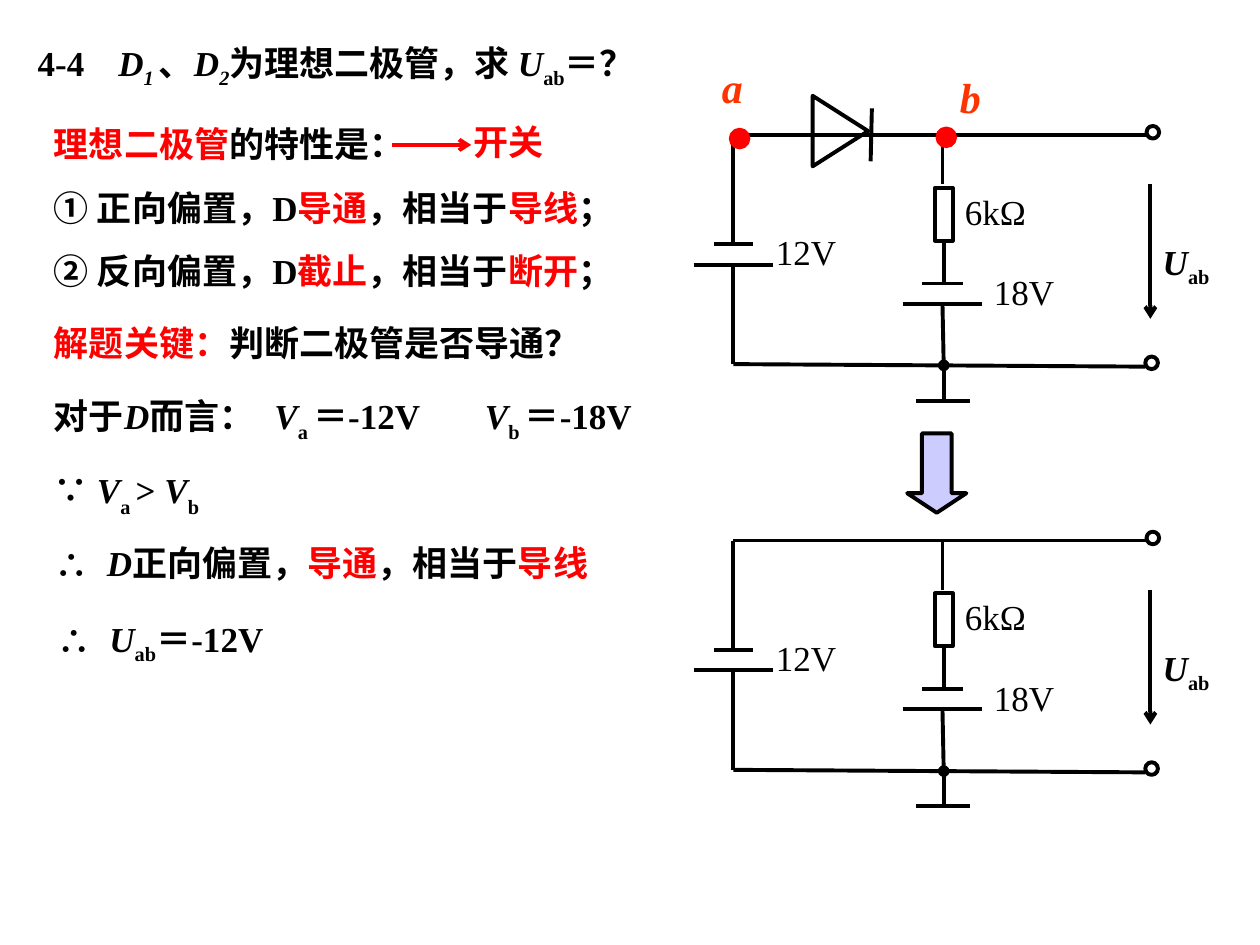
from dataclasses import dataclass

from lxml.etree import SubElement
from pptx import Presentation
from pptx.dml.color import RGBColor
from pptx.enum.shapes import MSO_CONNECTOR, MSO_SHAPE
from pptx.oxml.ns import qn
from pptx.util import Inches, Pt


@dataclass(frozen=True)
class Theme:
    black: RGBColor = RGBColor(0, 0, 0)
    white: RGBColor = RGBColor(255, 255, 255)
    red: RGBColor = RGBColor(255, 0, 0)
    orange: RGBColor = RGBColor(255, 51, 0)
    lilac: RGBColor = RGBColor(204, 204, 255)
    body: Pt = Pt(20)
    node: Pt = Pt(24)
    line: Pt = Pt(2.25)
    gap: Pt = Pt(12.5)
    latin: str = "Times New Roman"
    cjk: str = "Noto Sans CJK SC"


T = Theme()
BASE = {"size": T.body, "bold": True, "italic": False, "name": T.latin}
PLAIN = {"bold": False}
ITALIC = {"italic": True}
RED = {"color": T.red}
SUB = {"baseline": -25}
LOW = {"baseline": -30}
ITALIC_SUB = ITALIC | SUB
CJK = {"name": T.cjk}
NODE = {"italic": True, "size": T.node, "color": T.orange}
VOLTAGE = [("U", ITALIC), ("ab", SUB)]


def add_run(p, text, fmt):
    r = p.add_run()
    r.text = text
    fmt = BASE | fmt
    color = fmt.pop("color", T.black)
    baseline = fmt.pop("baseline", 0)
    r.font.color.rgb = color
    for key, value in fmt.items():
        setattr(r.font, key, value)
    rPr = r._r.get_or_add_rPr()
    SubElement(rPr, qn("a:ea")).set("typeface", T.cjk)
    if baseline:
        rPr.set("baseline", str(baseline * 1000))


def add_text(shapes, x, y, w, h, *paragraphs, tab=None):
    tf = shapes.add_textbox(Inches(x), Inches(y), Inches(w), Inches(h)).text_frame
    tf.word_wrap = True
    for i, runs in enumerate(paragraphs):
        p = tf.add_paragraph() if i else tf.paragraphs[0]
        if tab:
            stops = SubElement(p._p.get_or_add_pPr(), qn("a:tabLst"))
            stop = SubElement(stops, qn("a:tab"))
            stop.set("pos", str(Inches(tab)))
            stop.set("algn", "l")
        if i:
            p.space_before = T.gap
        for text, fmt in runs:
            add_run(p, text, fmt)


def add_line(shapes, x1, y1, x2, y2, color=T.black, end=None, kind="arrow"):
    c = shapes.add_connector(MSO_CONNECTOR.STRAIGHT, *map(Inches, (x1, y1, x2, y2)))
    c.line.color.rgb = color
    c.line.width = T.line
    spPr = c._element.spPr
    if end:
        SubElement(spPr.find(qn("a:ln")), qn(f"a:{end}")).set("type", kind)
    SubElement(spPr, qn("a:effectLst"))


def add_outline(shapes, kind, x, y, w, h, fill=T.white, line=T.black, rotation=0):
    s = shapes.add_shape(kind, *map(Inches, (x, y, w, h)))
    s.shadow.inherit = False
    s.fill.solid()
    s.fill.fore_color.rgb = fill
    s.line.color.rgb = line
    s.line.width = T.line
    s.rotation = rotation
    return s


def add_cell(shapes, x, y, half_short, half_long, gap=0.16):
    add_line(shapes, x - half_short, y, x + half_short, y)
    add_line(shapes, x - half_long, y + gap, x + half_long, y + gap)


def add_circuit(slide, x, y, diode=False):
    shapes = slide.shapes.add_group_shape().shapes
    left, mid, right = x + 0.32, x + 1.99, x + 3.63
    top, bottom = y + 0.07, y + 1.89
    if diode:
        add_outline(shapes, MSO_SHAPE.FLOWCHART_MERGE, x + 0.89, y - 0.18, 0.56, 0.44,
                    rotation=270)
        add_line(shapes, x + 1.41, y + 0.28, x + 1.42, y - 0.14)
    wires = [
        (left, top, right, top),
        (left, bottom, right - 0.04, bottom + 0.02),
        (left, top, left, y + 0.94),
        (left, y + 1.1, left, bottom),
        (mid - 0.01, top, mid - 0.01, y + 0.46),
        (mid, y + 0.91, mid, y + 1.25),
        (mid - 0.01, y + 1.41, mid, y + 1.9),
        (mid - 0.22, y + 2.18, mid + 0.21, y + 2.18),
    ]
    for wire in wires:
        add_line(shapes, *wire)
    add_line(shapes, mid, y + 1.9, mid, y + 2.18, end="headEnd", kind="oval")
    add_cell(shapes, left, y + 0.94, 0.155, 0.315)
    add_cell(shapes, mid - 0.01, y + 1.25, 0.16, 0.315)
    add_outline(shapes, MSO_SHAPE.RECTANGLE, mid - 0.21, y + 0.63, 0.42, 0.14, rotation=90)
    for tx, ty in ((x + 3.6, y), (x + 3.59, y + 1.83)):
        add_outline(shapes, MSO_SHAPE.OVAL, tx, ty, 0.1, 0.1)
    add_line(shapes, right, y + 0.46, right, y + 1.53, end="tailEnd")
    for text, dx, dy in (("12V", 0.56, 0.78), ("18V", 2.29, 1.1), ("6kΩ", 2.06, 0.46)):
        add_text(shapes, x + dx, y + dy, 0.87, 0.44, [(text, PLAIN)])
    add_text(shapes, right, y + 0.86, 0.87, 0.48, VOLTAGE)


def add_node(slide, name, x, y, dx, dy):
    shapes = slide.shapes.add_group_shape().shapes
    add_text(shapes, x + dx, y + dy, 0.75, 0.5, [(name, NODE)])
    add_outline(shapes, MSO_SHAPE.OVAL, x, y, 0.14, 0.14, T.red, T.red)


def bias_rule(number, bias, state, equivalent):
    return [(f"{number} {bias}偏置，D", {}), (state, RED), ("，相当于", {}),
            (equivalent, RED), ("；", {})]


def potential(node, value):
    return [("V", ITALIC), (f"{node} ", LOW), (f"＝{value}", {})]


def add_solution(slide, x, y):
    shapes = slide.shapes
    add_text(shapes, x - 0.13, y - 0.64, 5.38, 0.48,
             [("4-4\t", {}), ("D", ITALIC), ("1 ", ITALIC_SUB), ("、", {}),
              ("D", ITALIC), ("2", ITALIC_SUB), ("为理想二极管，求 ", {}),
              *VOLTAGE, ("＝？", {})], tab=0.64)
    add_text(shapes, x, y, 4.82, 1.45,
             [("理想二极管", RED), ("的特性是：", {})],
             bias_rule("①", "正向", "导通", "导线"),
             bias_rule("②", "反向", "截止", "断开"))
    add_line(shapes, x + 2.78, y + 0.23, x + 3.41, y + 0.23, T.red, "tailEnd")
    add_text(shapes, x + 3.33, y - 0.01, 1.89, 0.44, [("开关", CJK | RED)])
    add_text(shapes, x, y + 1.58, 4.42, 0.44,
             [("解题关键：", RED), ("判断二极管是否导通？", {})])
    add_text(shapes, x, y + 2.16, 2.92, 0.44,
             [("对于", {}), ("D", ITALIC), ("而言：", {})])
    add_text(shapes, x + 1.75, y + 2.16, 1.66, 0.5, potential("a", "-12V"))
    add_text(shapes, x + 3.42, y + 2.16, 1.5, 0.83, potential("b", "-18V"))
    add_text(shapes, x, y + 2.75, 2.83, 0.5,
             [("∵ ", CJK), ("V", ITALIC), ("a ", LOW), ("> ", {}),
              ("V", ITALIC), ("b", LOW)])
    add_text(shapes, x, y + 3.33, 4.67, 0.44,
             [("∴\t", {}), ("D", ITALIC), ("正向偏置，", {}), ("导通", RED),
              ("，相当于", {}), ("导线", RED)], tab=0.42)
    add_text(shapes, x + 0.02, y + 3.93, 2.67, 0.48,
             [("∴\t", {}), *VOLTAGE, ("＝-12V", {})], tab=0.42)


def main():
    prs = Presentation()
    prs.slide_width, prs.slide_height = Inches(10), Inches(7.5)
    slide = prs.slides.add_slide(prs.slide_layouts[6])
    add_solution(slide, 0.33, 0.92)
    add_circuit(slide, 5.5, 1, diode=True)
    add_node(slide, "a", 5.8, 1.03, -0.17, -0.59)
    add_node(slide, "b", 7.44, 1.02, 0.08, -0.5)
    add_circuit(slide, 5.5, 4.22)
    arrow = add_outline(slide.shapes, MSO_SHAPE.DOWN_ARROW, 7.2, 3.44, 0.47, 0.63, T.lilac)
    arrow.adjustments[1] = 0.33
    prs.save("out.pptx")


if __name__ == "__main__":
    main()
